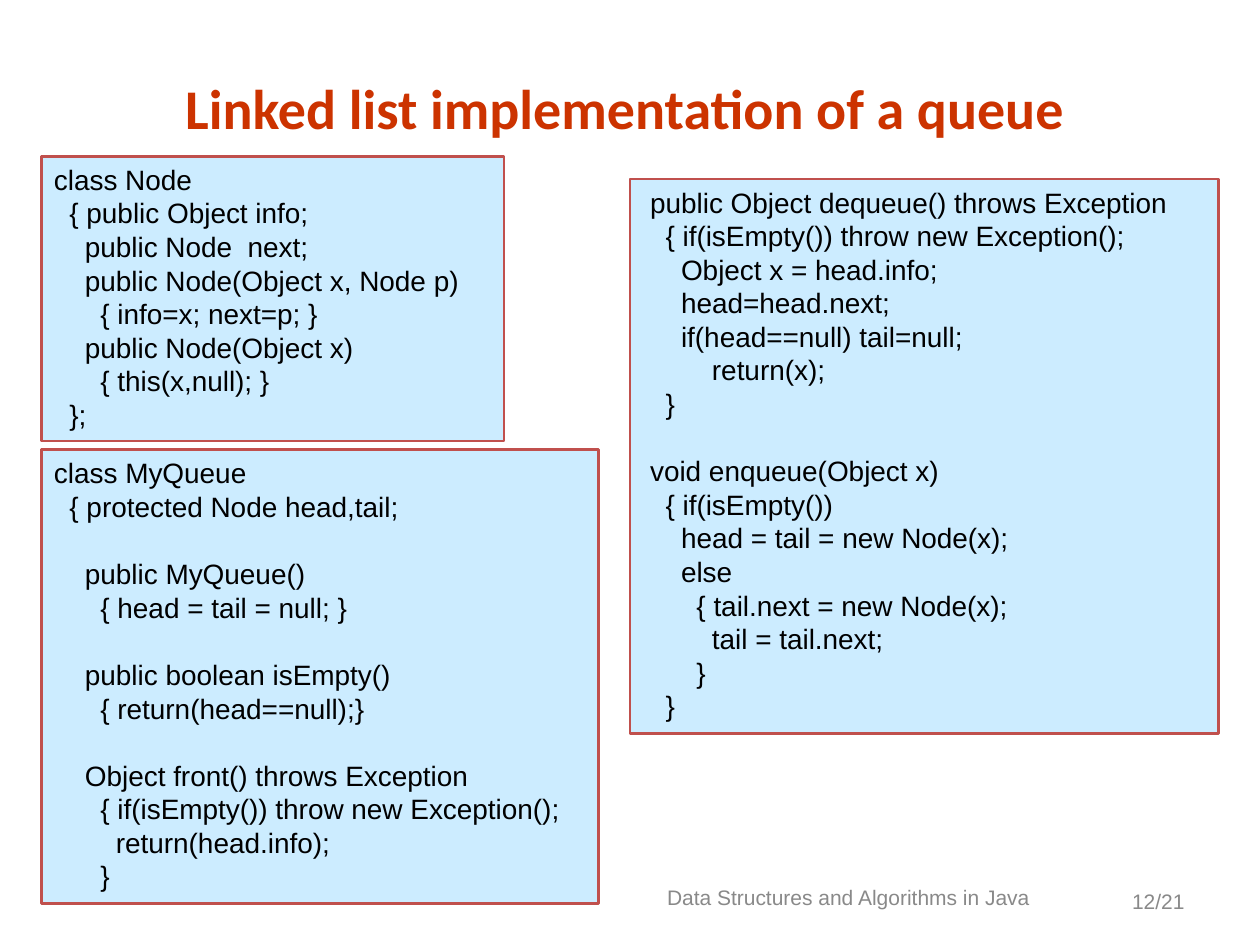
import pptx
import pptx.util
import pptx.dml.color
import pptx.enum.shapes
import pptx.enum.text

Inches, Pt = pptx.util.Inches, pptx.util.Pt
RGBColor = pptx.dml.color.RGBColor
ALIGN = pptx.enum.text.PP_ALIGN
ANCHOR = pptx.enum.text.MSO_ANCHOR

TITLE_RED = RGBColor(0xCC, 0x33, 0x00)
FOOTER_GRAY = RGBColor(0x89, 0x89, 0x89)
CODE_FILL = RGBColor(0xCC, 0xEC, 0xFF)
CODE_BORDER = RGBColor(0xC0, 0x50, 0x4D)
BLACK = RGBColor(0, 0, 0)

LINE_PITCH = Pt(19.2)
HANGING = Inches(0.35)

NODE_CODE = """\
class Node
  { public Object info;
    public Node  next;
    public Node(Object x, Node p)
      { info=x; next=p; }
    public Node(Object x)
      { this(x,null); }
  };"""

QUEUE_CODE = """\
class MyQueue
  { protected Node head,tail;

    public MyQueue()
      { head = tail = null; }

    public boolean isEmpty()
      { return(head==null);}

    Object front() throws Exception
      { if(isEmpty()) throw new Exception();
        return(head.info);
      }"""

METHODS_CODE = """\
 public Object dequeue() throws Exception
   { if(isEmpty()) throw new Exception();
     Object x = head.info;
     head=head.next;
     if(head==null) tail=null;
         return(x);
   }

 void enqueue(Object x)
   { if(isEmpty())
     head = tail = new Node(x);
     else
       { tail.next = new Node(x);
         tail = tail.next;
       }
   }"""


def set_font(font, color, **values):
    for name, value in values.items():
        setattr(font, name, value)
    font.color.rgb = color


prs = pptx.Presentation()
prs.slide_width, prs.slide_height = Inches(10), Inches(7.5)
s = prs.slides.add_slide(prs.slide_layouts[6])

title_font = {"name": "Calibri", "size": Pt(32), "bold": True, "color": TITLE_RED}
footer_font = {"name": "Arial", "size": Pt(12), "color": FOOTER_GRAY}
labels = [
    ("Data Structures and Algorithms in Java", (4.9, 6.92, 3.67, 0.4), ALIGN.CENTER, footer_font),
    ("12/21", (7.17, 6.95, 2.33, 0.4), ALIGN.RIGHT, footer_font),
    ("Linked list implementation of a queue", (0.25, 0.5, 9.42, 0.7), ALIGN.CENTER, title_font),
]
for text, box, align, font in labels:
    tf = s.shapes.add_textbox(*map(Inches, box)).text_frame
    tf.word_wrap = True
    tf.vertical_anchor = ANCHOR.MIDDLE
    p = tf.paragraphs[0]
    p.text = text
    p.alignment = align
    set_font(p.runs[0].font, **font)

code_boxes = [
    (NODE_CODE, (0.33, 1.24, 3.67, 2.26)),
    (QUEUE_CODE, (0.33, 3.57, 4.42, 3.6)),
    (METHODS_CODE, (5, 1.42, 4.67, 4.4)),
]
for code, box in code_boxes:
    sp = s.shapes.add_shape(pptx.enum.shapes.MSO_SHAPE.RECTANGLE, *map(Inches, box))
    sp.shadow.inherit = False
    sp.fill.solid()
    sp.fill.fore_color.rgb = CODE_FILL
    sp.line.color.rgb = CODE_BORDER
    sp.line.width = Pt(1.5)
    tf = sp.text_frame
    tf.word_wrap = True
    tf.vertical_anchor = ANCHOR.TOP
    p = tf.paragraphs[0]
    for block_no, block in enumerate(code.split("\n\n")):
        for line_no, line in enumerate(block.split("\n")):
            if block_no or line_no:
                p = tf.add_paragraph()
            p.text = line
            p.alignment = ALIGN.LEFT
            p.line_spacing = LINE_PITCH
            # A blank code line becomes one line of space before the next block.
            p.space_before = LINE_PITCH if block_no and not line_no else Pt(0)
            pPr = p._p.get_or_add_pPr()
            pPr.set("marL", str(HANGING))
            pPr.set("indent", str(-HANGING))
            set_font(p.runs[0].font, BLACK, name="Arial", size=Pt(16))

prs.save("out.pptx")
